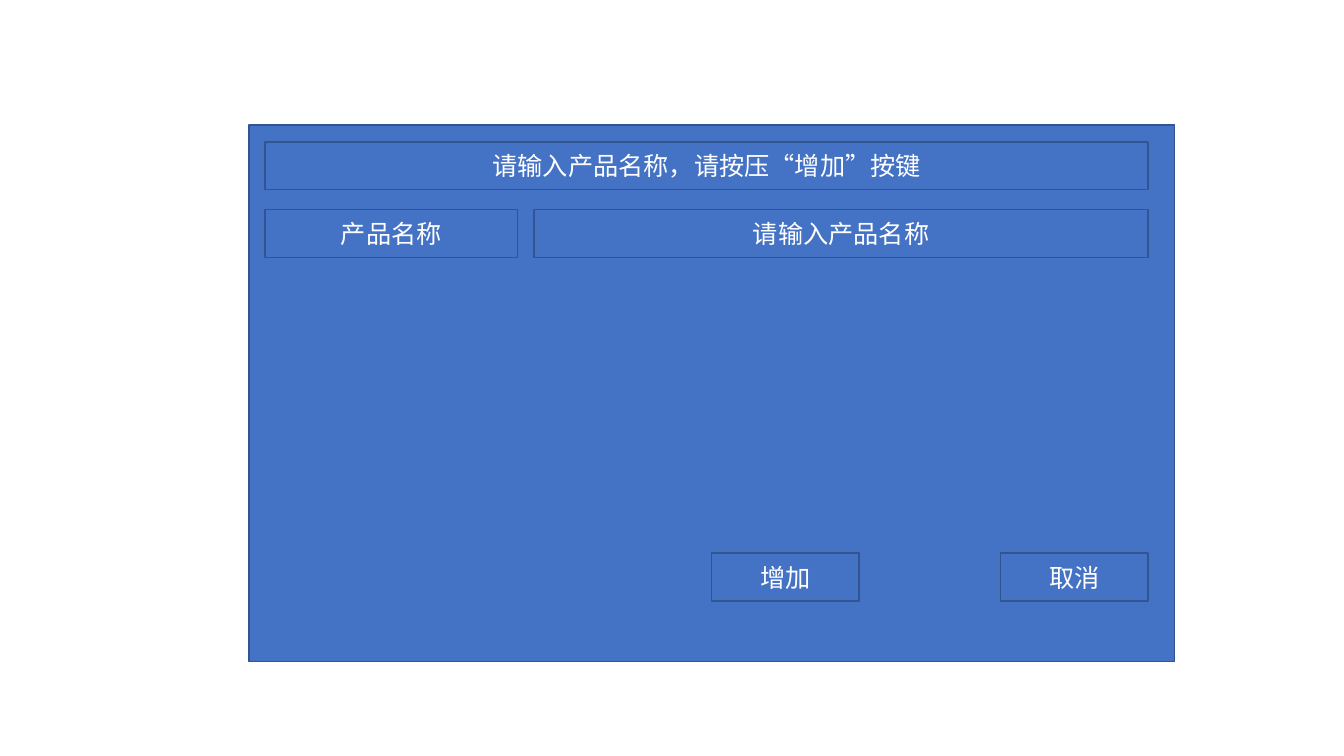
import pptx
import pptx.dml.color
import pptx.enum.shapes
import pptx.enum.text
import pptx.oxml.ns
import pptx.util
import lxml.etree

Pt = pptx.util.Pt
BLUE = pptx.dml.color.RGBColor(0x44, 0x72, 0xC4)
DARK_BLUE = pptx.dml.color.RGBColor(0x32, 0x54, 0x91)
WHITE = pptx.dml.color.RGBColor(0xFF, 0xFF, 0xFF)
FONT = "Noto Sans CJK SC"

FIELD_LEFT, FIELD_RIGHT = 189.4, 820.1
FIELD_HEIGHT = 34.2
LABEL_WIDTH = 180.2
FIELD_GAP = 11.9
BUTTON_WIDTH = 105.3
MESSAGE_TOP, NAME_TOP, BUTTON_TOP = 101.3, 149.8, 395


def format_text(text_frame, text, size=18, color=WHITE, font_name=FONT):
    """Write one centred line of text with the given format."""
    text_frame.word_wrap = True
    text_frame.vertical_anchor = pptx.enum.text.MSO_ANCHOR.MIDDLE
    paragraph = text_frame.paragraphs[0]
    paragraph.alignment = pptx.enum.text.PP_ALIGN.CENTER
    run = paragraph.add_run()
    run.text = text
    run.font.size = Pt(size)
    run.font.color.rgb = color
    run.font.name = font_name
    properties = run.font._element
    east_asian = lxml.etree.SubElement(properties, pptx.oxml.ns.qn("a:ea"))
    east_asian.set("typeface", font_name)


class DialogSlide:
    """Holds the dialog style, the slide and the group of dialog parts."""

    def __init__(self, slide, fill=BLUE, line=DARK_BLUE):
        """Start an empty dialog on the slide."""
        self.slide = slide
        self.fill = fill
        self.line = line
        self.group = slide.shapes.add_group_shape()

    def panel(self, left, top, width, height):
        """Add a plain outlined rectangle and return it."""
        shape = self.group.shapes.add_shape(
            pptx.enum.shapes.MSO_SHAPE.RECTANGLE,
            Pt(left), Pt(top), Pt(width), Pt(height))
        shape.shadow.inherit = False
        shape.fill.solid()
        shape.fill.fore_color.rgb = self.fill
        shape.line.color.rgb = self.line
        shape.line.width = Pt(1)
        return shape

    def field(self, text, left, top, right):
        """Add a field with text between two edges."""
        shape = self.panel(left, top, right - left, FIELD_HEIGHT)
        format_text(shape.text_frame, text)

    def button(self, text, right):
        """Add a button that ends at the given right edge."""
        self.field(text, right - BUTTON_WIDTH, BUTTON_TOP, right)


def main():
    """Build the product entry dialog and save it."""
    presentation = pptx.Presentation()
    presentation.slide_width = Pt(960)
    presentation.slide_height = Pt(540)
    blank_layout = presentation.slide_layouts[6]
    dialog = DialogSlide(presentation.slides.add_slide(blank_layout))

    dialog.panel(177.8, 89.4, 661, 383)
    dialog.field("请输入产品名称，请按压“增加”按键", FIELD_LEFT, MESSAGE_TOP, FIELD_RIGHT)
    label_right = FIELD_LEFT + LABEL_WIDTH
    dialog.field("产品名称", FIELD_LEFT, NAME_TOP, label_right)
    dialog.field("请输入产品名称", label_right + FIELD_GAP, NAME_TOP, FIELD_RIGHT)
    dialog.button("增加", 613.5)
    dialog.button("取消", FIELD_RIGHT)

    presentation.save("out.pptx")


main()
